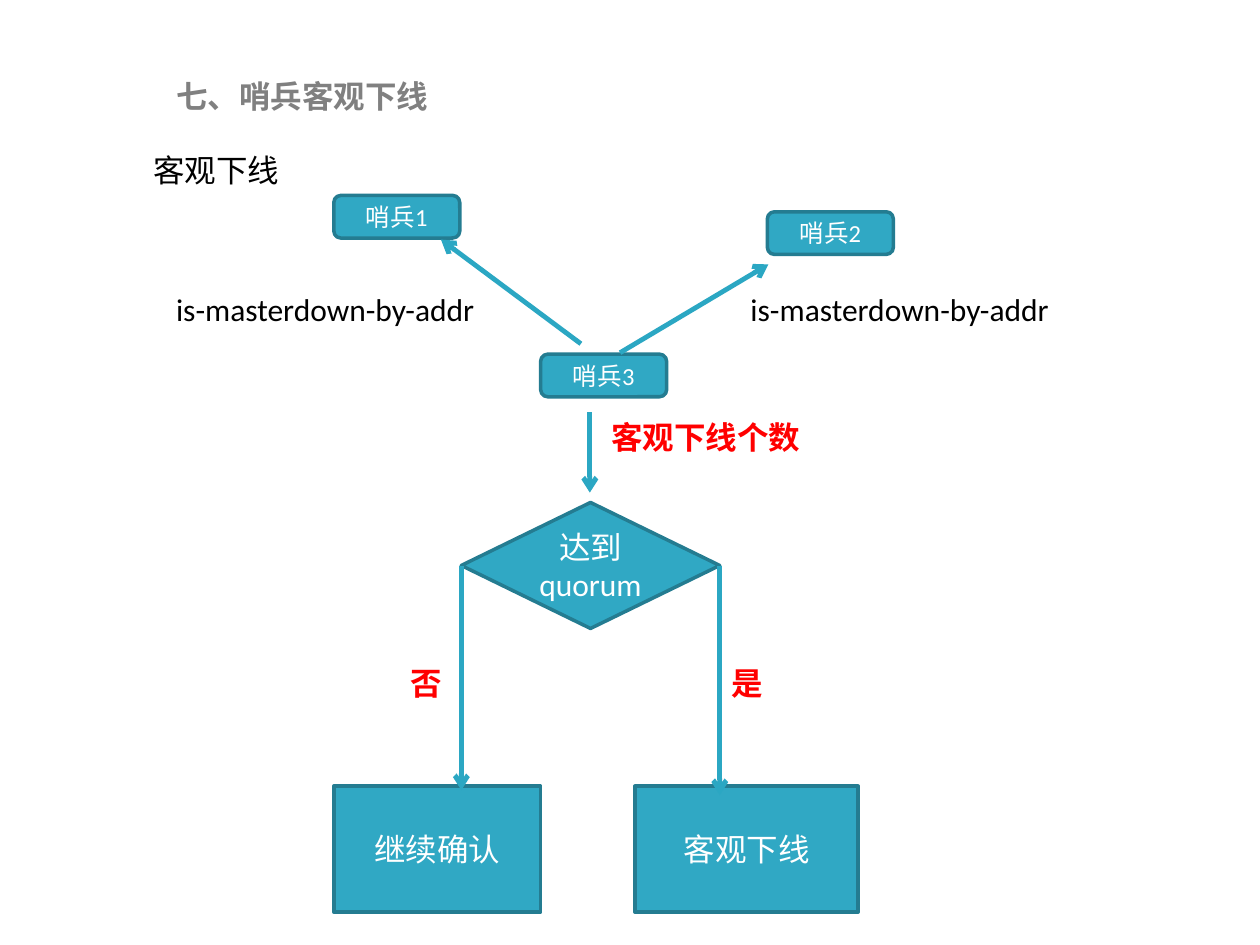
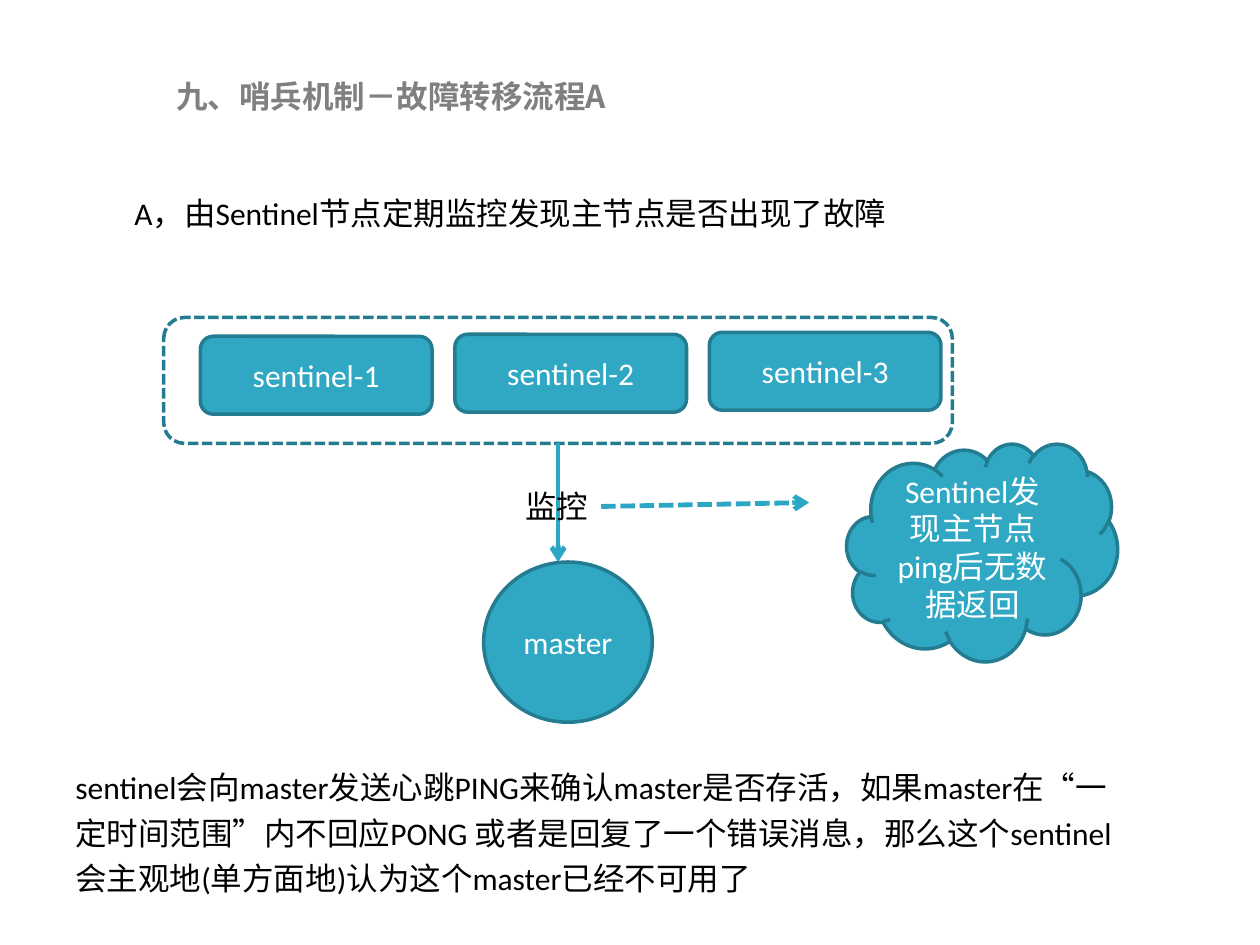
from lxml import etree
from pptx import Presentation
from pptx.dml.color import RGBColor
from pptx.enum.dml import MSO_LINE
from pptx.enum.shapes import MSO_CONNECTOR, MSO_SHAPE
from pptx.enum.text import MSO_ANCHOR, MSO_AUTO_SIZE, PP_ALIGN
from pptx.oxml.ns import qn
from pptx.util import Cm, Pt

TEAL = RGBColor(0x30, 0xA8, 0xC4)
EDGE = RGBColor(0x24, 0x7C, 0x91)
ARROW = RGBColor(0x2B, 0xA7, 0xC3)
GREY = RGBColor(0x80, 0x80, 0x80)
RED = RGBColor(0xFF, 0x00, 0x00)
BLACK = RGBColor(0x00, 0x00, 0x00)
WHITE = RGBColor(0xFF, 0xFF, 0xFF)

ROUND = MSO_SHAPE.ROUNDED_RECTANGLE
RECT = MSO_SHAPE.RECTANGLE
DIAMOND = MSO_SHAPE.DIAMOND
OVAL = MSO_SHAPE.OVAL
CLOUD = MSO_SHAPE.CLOUD
DASH = MSO_LINE.SQUARE_DOT
STRAIGHT = MSO_CONNECTOR.STRAIGHT
MIDDLE = MSO_ANCHOR.MIDDLE
CENTER = PP_ALIGN.CENTER
GROW = MSO_AUTO_SIZE.SHAPE_TO_FIT_TEXT

LATIN = "Calibri"
HAN = "Noto Sans CJK SC"
LEFT, BOTTOM, RIGHT = 1, 2, 3
ROW = 1.02


class Deck:
    """Holds the shared style and the slide being filled."""

    def __init__(self):
        self.file = Presentation()
        self.file.slide_width = Cm(25.4)
        self.file.slide_height = Cm(19.05)

    def page(self, title):
        self.slide = self.file.slides.add_slide(self.file.slide_layouts[6])
        self.text(title, (3.3, 1.42, 9.25, ROW), name=HAN, bold=True, color=GREY)

    def label(self, frame, text, color, **style):
        frame.word_wrap = True
        para = frame.paragraphs[0]
        run = para.add_run()
        run.text = text
        for key, value in ({"name": LATIN, "size": Pt(18)} | style).items():
            setattr(run.font, key, value)
        run.font.color.rgb = color
        latin = run.font._element.find(qn("a:latin"))
        east = etree.Element(qn("a:ea"), typeface=HAN)
        latin.addnext(east)
        return para

    def text(self, text, at, space=None, color=BLACK, **style):
        frame = self.slide.shapes.add_textbox(*map(Cm, at)).text_frame
        para = self.label(frame, text, color, **style)
        para.line_spacing = space
        frame.auto_size = GROW

    def node(self, kind, at, text, size=18):
        shape = self.frame(kind, at)
        shape.fill.solid()
        shape.fill.fore_color.rgb = TEAL
        shape.text_frame.vertical_anchor = MIDDLE
        para = self.label(shape.text_frame, text, WHITE, size=Pt(size))
        para.alignment = CENTER
        return shape

    def frame(self, kind, at, dash=None):
        """Add an outlined shape without fill."""
        shape = self.slide.shapes.add_shape(kind, *map(Cm, at))
        shape.shadow.inherit = False
        shape.fill.background()
        self.stroke(shape.line, EDGE, 2, dash)
        return shape

    def stroke(self, line, color, width, dash):
        line.color.rgb = color
        line.width = Pt(width)
        if dash:
            line.dash_style = dash

    def arrow(self, start, end, dash=None, source=None, side=None):
        """Draw an arrow; source and side join its start to a shape."""
        link = self.slide.shapes.add_connector(STRAIGHT, *map(Cm, start + end))
        self.stroke(link.line, ARROW, 2.75, dash)
        props = link._element.spPr
        etree.SubElement(props.find(qn("a:ln")), qn("a:tailEnd"), type="arrow")
        etree.SubElement(props, qn("a:effectLst"))
        if source is not None:
            link.begin_connect(source, side)


def offline(deck):
    deck.page("七、哨兵客观下线")
    deck.text("客观下线", (2.84, 2.46, 21.74, 1.47), space=1.6)

    guards = (("哨兵1", 6.73, 3.94), ("哨兵2", 15.47, 4.27), ("哨兵3", 10.9, 7.14))
    for name, x, y in guards:
        deck.node(ROUND, (x, y, 2.54, 0.86), name, size=14)
    deck.arrow((11.71, 6.93), (8.89, 4.83))
    deck.arrow((12.5, 7.11), (15.49, 5.33))
    deck.arrow((11.89, 8.31), (11.89, 9.93))
    for x in (3.3, 14.88):
        deck.text("is-masterdown-by-addr", (x, 5.72, 6.53, ROW))

    check = deck.node(DIAMOND, (9.3, 10.13, 5.21, 2.54), "达到quorum")
    deck.node(RECT, (6.73, 15.85, 4.17, 2.54), "继续确认")
    deck.node(RECT, (12.8, 15.85, 4.5, 2.54), "客观下线")
    for x, end, side in ((9.3, 15.93, LEFT), (14.51, 16.03, RIGHT)):
        deck.arrow((x, 11.4), (x, end), source=check, side=side)

    notes = (("客观下线个数", 12.07, 8.31), ("否", 8.03, 13.26), ("是", 14.5, 13.26))
    for note, x, y in notes:
        deck.text(note, (x, y, 9.35, ROW), color=RED, bold=True)


def failover(deck):
    deck.page("九、哨兵机制－故障转移流程A")
    deck.text("A，由Sentinel节点定期监控发现主节点是否出现了故障",
              (2.46, 3.33, 21.74, 1.47), space=1.6)

    group = deck.frame(ROUND, (3.3, 6.4, 15.9, 2.54), dash=DASH)
    deck.arrow((11.25, 8.94), (11.25, 11.33), source=group, side=BOTTOM)
    for i in range(3):
        at = (4.04 + 5.13 * i, 6.78 - 0.04 * i, 4.67, 1.57)
        deck.node(ROUND, at, f"sentinel-{i + 1}")
    deck.node(OVAL, (9.75, 11.33, 3.4, 3.23), "master")

    deck.arrow((12.12, 10.21), (16.31, 10.13), dash=DASH)
    deck.text("监控", (10.34, 9.7, 1.9, ROW))
    deck.node(CLOUD, (17.07, 8.94, 5.46, 4.39), "Sentinel发现主节点ping后无数据返回")
    deck.text("sentinel会向master发送心跳PING来确认master是否存活，如果master"
              "在“一定时间范围”内不回应PONG 或者是回复了一个错误消息，那么这个"
              "sentinel会主观地(单方面地)认为这个master已经不可用了",
              (1.27, 15.21, 21.74, 3.02), space=1.2)


def main():
    deck = Deck()
    offline(deck)
    failover(deck)
    deck.file.save("out.pptx")


if __name__ == "__main__":
    main()
